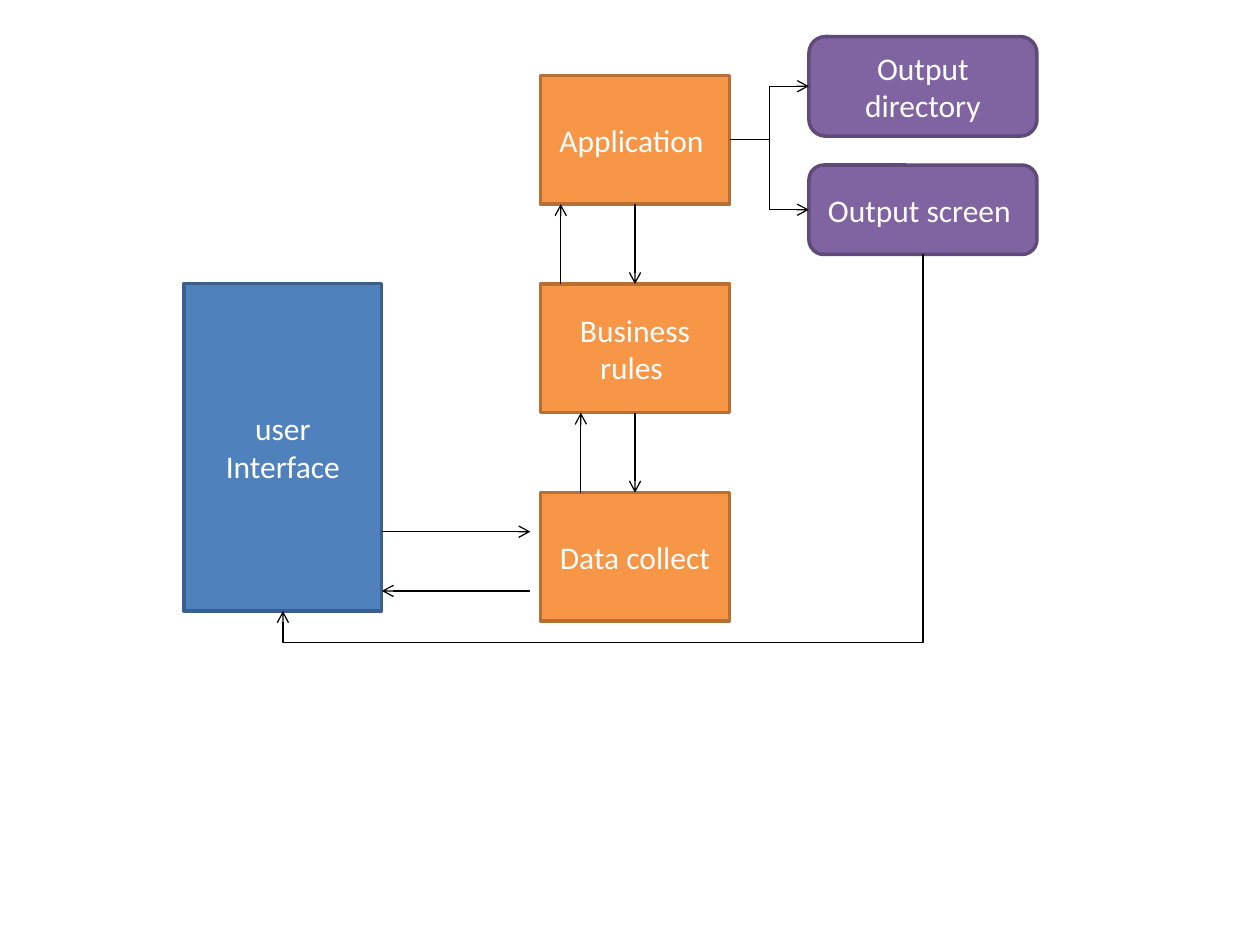
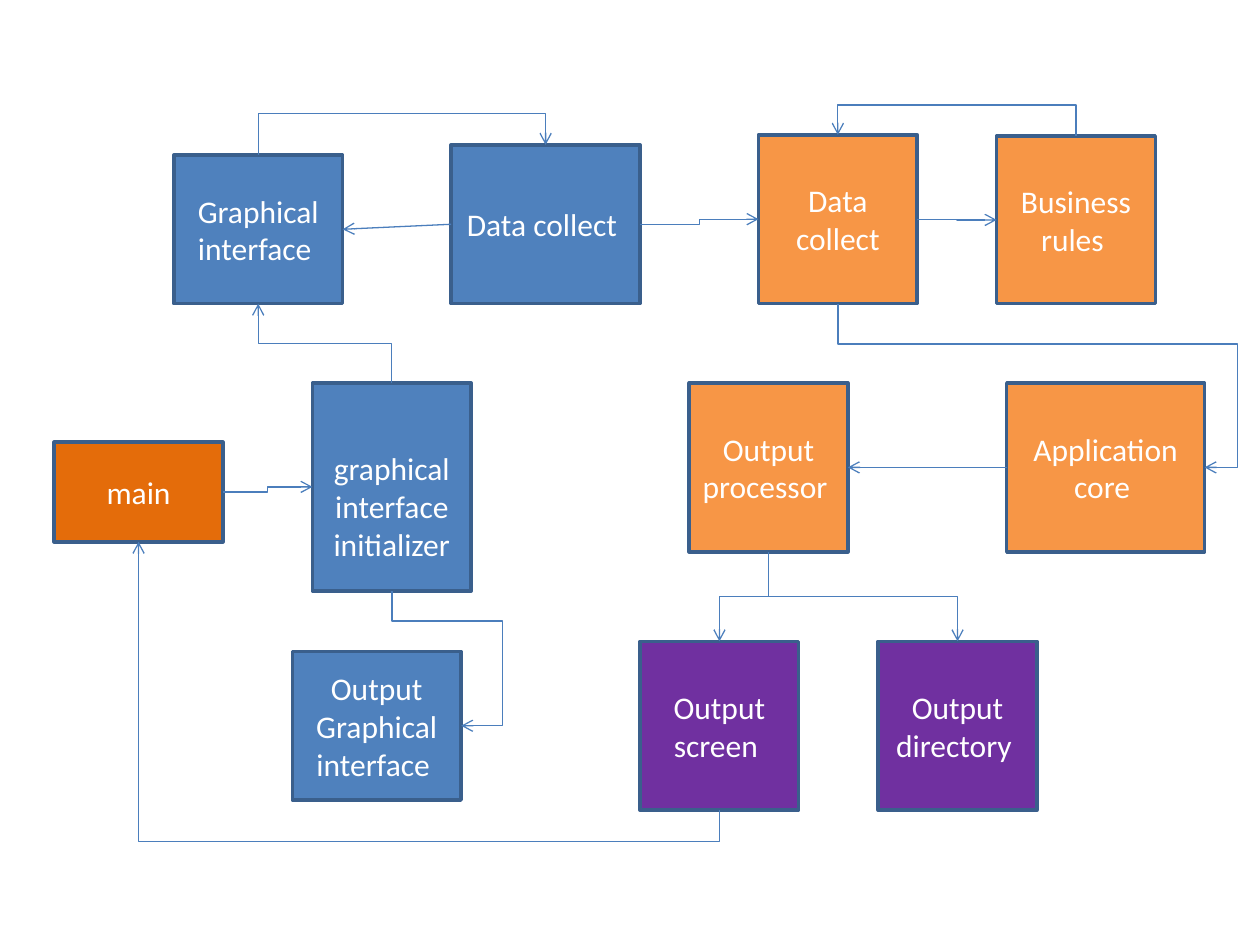
import pptx
import pptx.util
import pptx.dml.color
import pptx.enum.shapes
import pptx.enum.text
import pptx.oxml
import pptx.oxml.ns
from pptx.util import Inches

FONT = "Calibri"
BLUE, ORANGE, DARK_ORANGE = "4F81BD", "F79646", "E46C0A"
VIOLET, PURPLE = "8064A2", "7030A0"
BLUE_EDGE, ORANGE_EDGE, VIOLET_EDGE = "3A5F8C", "B76F34", "5F4A78"
BLACK, WHITE, ARROW_BLUE = "000000", "FFFFFF", "4B7EBC"
SHAPE = pptx.enum.shapes.MSO_SHAPE
CONNECTOR = pptx.enum.shapes.MSO_CONNECTOR


def rgb(value):
    return pptx.dml.color.RGBColor.from_string(value)


def add_to(parent, tag, **attrs):
    """Append a DrawingML element to parent."""
    el = pptx.oxml.ns.qn(tag)
    child = parent.makeelement(el, attrs)
    parent.append(child)
    return child


def box(s, text, at, fill, edge=BLUE_EDGE, kind=SHAPE.RECTANGLE, drop=0):
    """A labelled box; drop lowers the label by widening the top inset."""
    sp = s.shapes.add_shape(kind, *[Inches(v) for v in at])
    sp.shadow.inherit = False
    sp.fill.solid()
    sp.fill.fore_color.rgb = rgb(fill)
    sp.line.color.rgb = rgb(edge)
    sp.line.width = pptx.util.Pt(2)
    tf = sp.text_frame
    tf.word_wrap = True
    tf.vertical_anchor = pptx.enum.text.MSO_ANCHOR.MIDDLE
    tf.margin_top = Inches(0.05 + drop)
    p = tf.paragraphs[0]
    p.alignment = pptx.enum.text.PP_ALIGN.CENTER
    r = p.add_run()
    r.text = text
    r.font.name = FONT
    r.font.size = pptx.util.Pt(18)
    r.font.color.rgb = rgb(WHITE)
    return sp


def port(sp, side):
    """Midpoint of one side of a box, in inches."""
    fx, fy = {"left": (0, 0.5), "right": (1, 0.5),
              "top": (0.5, 0), "bottom": (0.5, 1)}[side]
    return (sp.left + fx * sp.width) / 914400, (sp.top + fy * sp.height) / 914400


def arrow(s, start, end, color, kind=CONNECTOR.STRAIGHT):
    c = s.shapes.add_connector(kind, *[Inches(v) for v in (*start, *end)])
    c.line.color.rgb = rgb(color)
    c.line.width = pptx.util.Pt(0.75)
    add_to(c.line._get_or_add_ln(), "a:tailEnd", type="arrow")
    add_to(c._element.spPr, "a:effectLst")
    return c


def side_elbow(s, start, end, color):
    """Leaves sideways and bends halfway."""
    return arrow(s, start, end, color, CONNECTOR.ELBOW)


def upright_elbow(s, start, end, color, bend_y=None, bend_x=None):
    """Leaves up or down, bends at bend_y and, if given, again at bend_x."""
    (x1, y1), (x2, y2) = start, end
    dx, dy = x2 - x1, y2 - y1
    turn = -1 if dx > 0 and dy > 0 else 1
    # The frame is laid flat about the same centre, then turned a quarter
    cx, cy = (x1 + x2) / 2, (y1 + y2) / 2
    u, v = turn * dy / 2, -turn * dx / 2
    c = arrow(s, (cx - u, cy - v), (cx + u, cy + v), color, CONNECTOR.ELBOW)
    spPr = c._element.spPr
    spPr.xfrm.set("rot", str(turn * 90 % 360 * 60000))
    bends = [0.5 if bend_y is None else (bend_y - y1) / dy]
    if bend_x is not None:
        bends.append((bend_x - x1) / dx)
    geom = spPr.find(pptx.oxml.ns.qn("a:prstGeom"))
    geom.set("prst", f"bentConnector{len(bends) + 2}")
    for old in list(geom):
        geom.remove(old)
    guides = add_to(geom, "a:avLst")
    for i, bend in enumerate(bends, 1):
        add_to(guides, "a:gd", name=f"adj{i}", fmla=f"val {round(bend * 100000)}")
    return c


def layers_slide(s):
    # Boxes
    ui = box(s, "user Interface", (1.46, 2.25, 1.57, 2.6), BLUE)
    app, rules, collect = [
        box(s, text, (4.29, 0.6 + i * 1.655, 1.5, 1.02), ORANGE, ORANGE_EDGE)
        for i, text in enumerate(["Application ", "Business rules ", "Data collect"])]
    directory, screen = [
        box(s, text, (6.42, y, 1.81, h), VIOLET, VIOLET_EDGE, SHAPE.ROUNDED_RECTANGLE)
        for text, y, h in [("Output directory", 0.29, 0.79),
                           ("Output screen ", 1.31, 0.71)]]

    # Exchange between interface and data collection
    arrow(s, (3.03, 4.22), (4.21, 4.22), BLACK)
    arrow(s, (4.21, 4.69), (3.03, 4.69), BLACK)

    # Down and back up between neighbouring layers
    for upper, lower, up_x in [(app, rules, 4.45), (rules, collect, 4.61)]:
        top, bottom = port(upper, "bottom"), port(lower, "top")
        arrow(s, top, bottom, BLACK)
        arrow(s, (up_x, bottom[1]), (up_x, top[1]), BLACK)

    # Outputs, and the way back to the interface
    for target in (directory, screen):
        side_elbow(s, port(app, "right"), port(target, "left"), BLACK)
    upright_elbow(s, port(screen, "bottom"), port(ui, "bottom"), BLACK, 5.1)


def modules_slide(s):
    # Interface side
    main_box = box(s, "main", (0.43, 3.51, 1.34, 0.79), DARK_ORANGE)
    init = box(s, "graphical interface initializer", (2.48, 3.04, 1.26, 1.65),
               BLUE, drop=0.3)
    gui = box(s, "Graphical interface ", (1.38, 1.23, 1.34, 1.18), BLUE)
    form = box(s, "Data collect ", (3.58, 1.15, 1.5, 1.26), BLUE)
    out_gui = box(s, "Output Graphical interface ", (2.32, 5.17, 1.34, 1.18), BLUE)

    # Application side
    collect = box(s, "Data collect", (6.02, 1.07, 1.26, 1.34), ORANGE)
    rules = box(s, "Business rules ", (7.91, 1.08, 1.26, 1.33), ORANGE)
    core = box(s, "Application core ", (7.99, 3.04, 1.57, 1.34), ORANGE)
    processor = box(s, "Output processor ", (5.47, 3.04, 1.26, 1.34), ORANGE)
    screen = box(s, "Output screen ", (5.08, 5.09, 1.26, 1.34), PURPLE)
    directory = box(s, "Output directory ", (6.97, 5.09, 1.26, 1.34), PURPLE)

    # Straight and sideways links
    arrow(s, port(form, "left"), port(gui, "right"), ARROW_BLUE)
    for a, out, b, into in [(main_box, "right", init, "left"),
                            (form, "right", collect, "left"),
                            (collect, "right", rules, "left"),
                            (core, "left", processor, "right")]:
        side_elbow(s, port(a, out), port(b, into), ARROW_BLUE)

    # Links that leave a box upwards or downwards
    for a, out, b, into, *bends in [
            (init, "top", gui, "bottom"),
            (gui, "top", form, "top", 0.9),
            (rules, "top", collect, "top", 0.83),
            (collect, "bottom", core, "right", 2.73, 9.82),
            (processor, "bottom", directory, "top"),
            (processor, "bottom", screen, "top"),
            (screen, "bottom", main_box, "bottom", 6.68),
            (init, "bottom", out_gui, "right", 4.93, 3.99)]:
        upright_elbow(s, port(a, out), port(b, into), ARROW_BLUE, *bends)


def main():
    prs = pptx.Presentation()
    prs.slide_width, prs.slide_height = Inches(10), Inches(7.5)
    for build in (layers_slide, modules_slide):
        build(prs.slides.add_slide(prs.slide_layouts[6]))
    prs.save("out.pptx")


main()
